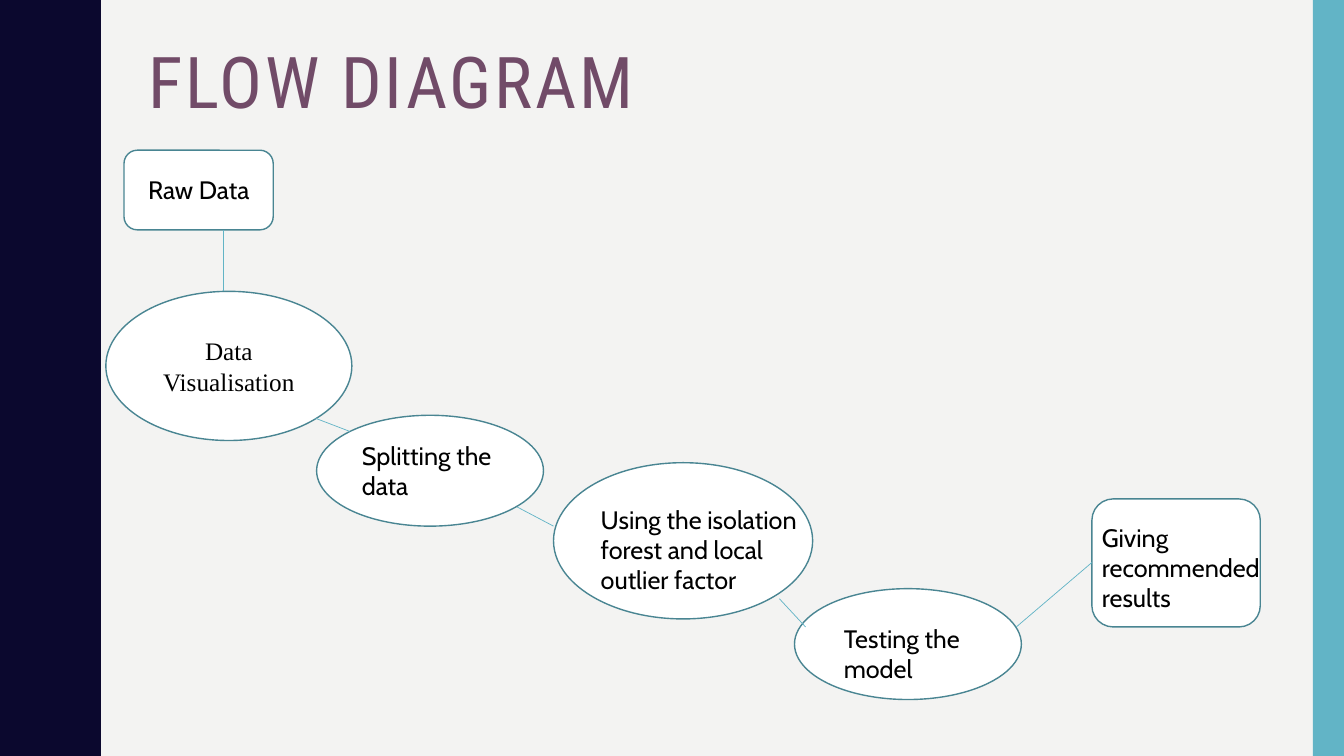
from lxml import etree
from pptx import Presentation
from pptx.dml.color import RGBColor
from pptx.enum import shapes as sh, text as tx
from pptx.oxml import ns
from pptx.util import Inches, Pt

HUES = {"paper": "F3F3F2", "navy": "0B082E", "teal": "62B4C6", "edge": "498592",
        "plum": "714B68", "white": "FFFFFF", "ink": "000000"}
WIDE, HIGH = 13.33, 7.5
OVAL, ROUND = sh.MSO_SHAPE.OVAL, sh.MSO_SHAPE.ROUNDED_RECTANGLE

# kind, box, label, label box (None puts the label in the shape itself)
NODES = [
    (ROUND, (1.23, 1.49, 1.48, 0.79), "Raw Data", (1.37, 1.68, 1.57, 0.4)),
    (OVAL, (1.05, 2.89, 2.44, 1.48), "Data Visualisation", None),
    (OVAL, (3.14, 4.12, 2.25, 1.1), "Splitting the data", (3.49, 4.32, 1.55, 0.71)),
    (OVAL, (5.49, 4.59, 2.57, 1.55), "Using the isolation forest and local outlier factor",
     (5.86, 4.95, 2.3, 1.01)),
    (OVAL, (7.88, 5.84, 2.25, 1.1), "Testing the model", (8.27, 6.13, 1.45, 0.71)),
    (ROUND, (10.83, 4.95, 1.67, 1.27), "Giving recommended results",
     (10.83, 5.13, 1.91, 1.01)),
]
LINKS = [(2.22, 2.28, 2.22, 2.89), (3.13, 4.15, 3.47, 4.28), (5.13, 5.03, 5.49, 5.22),
         (7.73, 5.94, 7.99, 6.22), (10.08, 6.22, 10.83, 5.58)]

# One trough-to-crest stretch of the wavy edge: x, y
RISE = [(0.78, 0), (0.78, 0.07), (0.79, 0.14), (0.8, 0.2), (0.81, 0.25), (0.83, 0.29),
        (0.85, 0.33), (0.87, 0.38), (0.89, 0.42), (0.91, 0.46), (0.93, 0.5),
        (0.95, 0.55), (0.96, 0.61), (0.97, 0.68), (0.97, 0.75)]
PERIOD = 1.5


def inches(box):
    return [Inches(v) for v in box]


def hue(name):
    return RGBColor.from_string(HUES[name])


def paint(shape, fill, edge=None):
    shape.shadow.inherit = False
    shape.fill.solid()
    shape.fill.fore_color.rgb = hue(fill)
    if edge:
        shape.line.color.rgb = hue(edge)
        shape.line.width = Pt(1)
    else:
        shape.line.fill.background()


def write(shape, words, face, size, color, align=tx.PP_ALIGN.LEFT):
    frame = shape.text_frame
    frame.word_wrap = True
    par = frame.paragraphs[0]
    par.text = words
    par.alignment = align
    par.font.name = face
    par.font.size = Pt(size)
    par.font.color.rgb = hue(color)
    return par


def wave(slide, high):
    """Dark band on the left with a rippled right edge."""
    cycle = RISE + [(x, PERIOD - y) for x, y in RISE[-2:0:-1]]
    edge = [(x, y + PERIOD * n) for n in range(round(high / PERIOD)) for x, y in cycle]
    edge += [(RISE[0][0], high), (0, high)]
    form = slide.shapes.build_freeform(0, 0, scale=Inches(1))
    form.add_line_segments(edge, close=True)
    paint(form.convert_to_shape(), "navy")


def stripe(slide, box):
    paint(slide.shapes.add_shape(sh.MSO_SHAPE.RECTANGLE, *inches(box)), "teal")


def title(slide, box):
    head = slide.shapes.add_textbox(*inches(box))
    par = write(head, "FLOW DIAGRAM", "Roboto Condensed", 51, "plum")
    par.line_spacing = 0.9
    par.runs[0].font._element.set("spc", "200")


def node(slide, kind, box, words, spot):
    shape = slide.shapes.add_shape(kind, *inches(box))
    paint(shape, "white", "edge")
    if spot:
        write(slide.shapes.add_textbox(*inches(spot)), words, "Cabin", 18, "ink")
    else:
        write(shape, words, "Times New Roman", 18, "ink", tx.PP_ALIGN.CENTER)
        shape.text_frame.vertical_anchor = tx.MSO_ANCHOR.MIDDLE


def link(slide, ends):
    line = slide.shapes.add_connector(sh.MSO_CONNECTOR.STRAIGHT, *inches(ends))
    line.line.color.rgb = hue("teal")
    line.line.width = Pt(0.5)
    etree.SubElement(line._element.spPr, ns.qn("a:effectLst"))


def main():
    deck = Presentation()
    deck.slide_width, deck.slide_height = Inches(WIDE), Inches(HIGH)
    slide = deck.slides.add_slide(deck.slide_layouts[6])
    slide.background.fill.solid()
    slide.background.fill.fore_color.rgb = hue("paper")
    wave(slide, HIGH)
    stripe(slide, (13.02, 0, WIDE - 13.02, HIGH))
    title(slide, (1.37, 0.42, 11.13, 1.63))
    for item in NODES:
        node(slide, *item)
    for ends in LINKS:
        link(slide, ends)
    deck.save("out.pptx")


if __name__ == "__main__":
    main()
